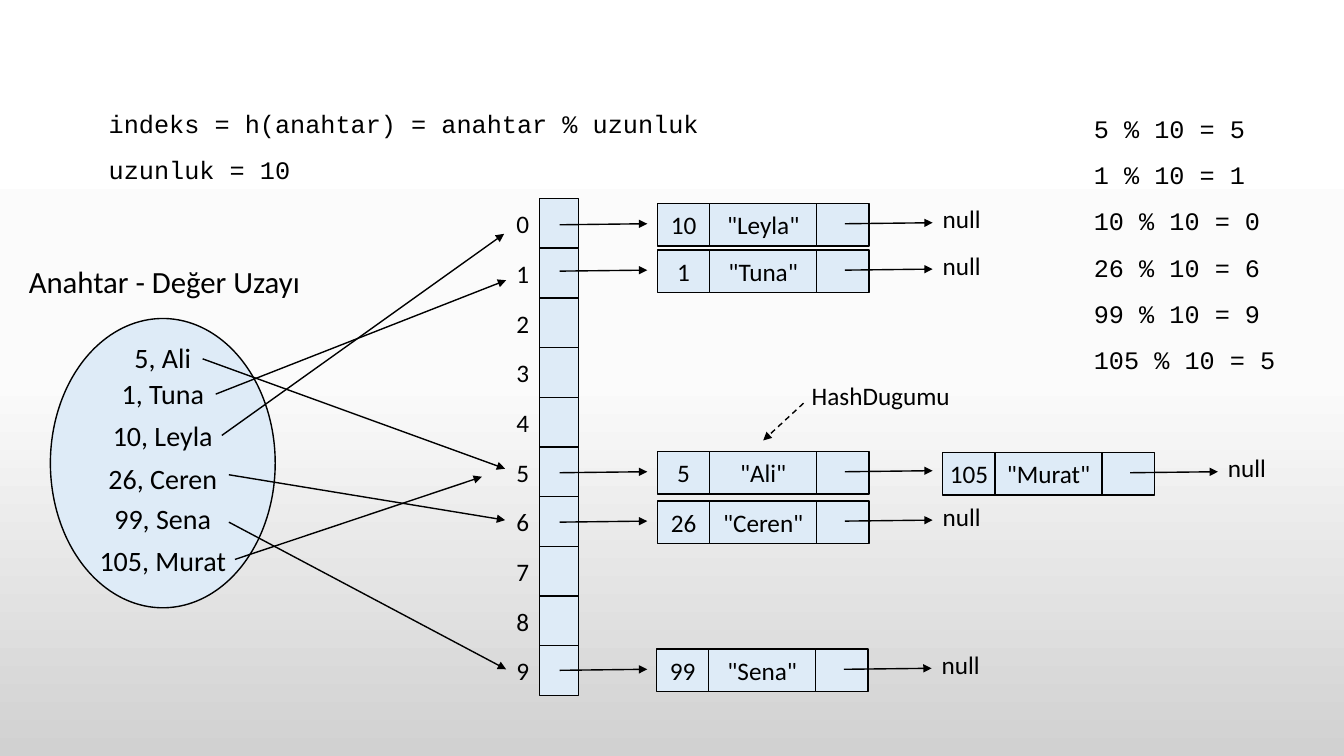
import copy
from dataclasses import dataclass

import pptx
import pptx.dml.color
import pptx.enum.dml
import pptx.enum.shapes
import pptx.enum.text
import pptx.oxml
import pptx.oxml.ns
import pptx.util

Inches = pptx.util.Inches
Pt = pptx.util.Pt
RGBColor = pptx.dml.color.RGBColor
Preset = pptx.enum.shapes.MSO_SHAPE
Align = pptx.enum.text.PP_ALIGN
Anchor = pptx.enum.text.MSO_ANCHOR
qn = pptx.oxml.ns.qn


@dataclass(frozen=True)
class Theme:
    ink: RGBColor = RGBColor.from_string("000000")
    fill: RGBColor = RGBColor.from_string("DEEBF7")
    background: tuple = ((0, "FFFFFF"), (0.5, "FBFBFB"), (1, "D1D1D1"))
    body_font: str = "Calibri"
    code_font: str = "Courier New"
    body: int = 18
    key: int = 20
    heading: int = 22
    line: float = 1


THEME = Theme()

# Key label: text, width, top, arrow start, arrow end
KEYS = [
    ("5, Ali", 0.77, 3.33, (2.01, 3.56), (5.01, 4.65)),
    ("1, Tuna", 1.03, 3.69, (2.14, 3.91), (5.02, 2.78)),
    ("10, Leyla", 1.2, 4.1, (2.2, 4.32), (5, 2.32)),
    ("26, Ceren", 1.29, 4.53, (2.27, 4.71), (5.01, 5.16)),
    ("99, Sena", 1.17, 4.93, (2.27, 5.18), (5.02, 6.64)),
    ("105, Murat", 1.47, 5.34, (2.33, 5.55), (4.78, 4.73)),
]
# First node of each chain: left, top, key, name, ends in null
CHAINS = [
    (6.52, 2.02, "10", '"Leyla"', True),
    (6.52, 2.48, "1", '"Tuna"', True),
    (6.52, 4.48, "5", '"Ali"', False),
    (6.52, 4.97, "26", '"Ceren"', True),
    (6.51, 6.44, "99", '"Sena"', True),
]
FORMULA = ["indeks = h(anahtar) = anahtar % uzunluk", "uzunluk = 10"]
REMAINDERS = ["5 % 10 = 5", "1 % 10 = 1", "10 % 10 = 0",
              "26 % 10 = 6", "99 % 10 = 9", "105 % 10 = 5"]


def style_font(paragraph, size, name):
    paragraph.font.size = Pt(size)
    paragraph.font.name = name
    paragraph.font.color.rgb = THEME.ink


def add_label(shapes, box, text, size=THEME.body, align=Align.CENTER):
    frame = shapes.add_textbox(*map(Inches, box)).text_frame
    frame.word_wrap = False
    frame.auto_size = pptx.enum.text.MSO_AUTO_SIZE.SHAPE_TO_FIT_TEXT
    paragraph = frame.paragraphs[0]
    paragraph.text = text
    paragraph.alignment = align
    style_font(paragraph, size, THEME.body_font)


def add_block(shapes, preset, box, text="", inset=None):
    shape = shapes.add_shape(preset, *map(Inches, box))
    shape.shadow.inherit = False
    shape.fill.solid()
    shape.fill.fore_color.rgb = THEME.fill
    shape.line.color.rgb = THEME.ink
    shape.line.width = Pt(THEME.line)
    if text:
        frame = shape.text_frame
        frame.vertical_anchor = Anchor.MIDDLE
        if inset is not None:
            frame.margin_left = frame.margin_right = Inches(inset)
            frame.margin_top = frame.margin_bottom = Inches(inset)
        paragraph = frame.paragraphs[0]
        paragraph.text = text
        paragraph.alignment = Align.CENTER
        style_font(paragraph, THEME.body, THEME.body_font)


def add_arrow(shapes, start, end, dashed=False):
    arrow = shapes.add_connector(pptx.enum.shapes.MSO_CONNECTOR.STRAIGHT,
                                 *map(Inches, (*start, *end)))
    arrow.line.color.rgb = THEME.ink
    arrow.line.width = Pt(THEME.line)
    if dashed:
        arrow.line.dash_style = pptx.enum.dml.MSO_LINE.DASH
    head = pptx.oxml.parse_xml(
        f'<a:tailEnd {pptx.oxml.ns.nsdecls("a")} type="triangle"/>')
    arrow.line._get_or_add_ln().append(head)
    arrow._element.spPr.append(
        pptx.oxml.parse_xml(f'<a:effectLst {pptx.oxml.ns.nsdecls("a")}/>'))


def paint_background(slide):
    fill = slide.background.fill
    fill.gradient()
    fill.gradient_angle = 270
    stop_list = slide._element.find(".//" + qn("a:gsLst"))
    stop_list.insert(1, copy.deepcopy(stop_list[0]))
    for stop, (position, color) in zip(fill.gradient_stops, THEME.background):
        stop.position = position
        stop.color.rgb = RGBColor.from_string(color)


def add_bucket_column(slide, box):
    left, top, width, height = box
    shapes = slide.shapes.add_group_shape().shapes
    step = height / 10
    for index in range(10):
        y = top + index * step
        add_block(shapes, Preset.RECTANGLE, (left, y, width, step))
        add_label(shapes, (left - 0.33, y + 0.05, 0.33, 0.34), str(index))


def add_key_space(slide, box):
    left, top, width, height = box
    center = left + width / 2
    shapes = slide.shapes.add_group_shape().shapes
    add_block(shapes, Preset.OVAL, box)
    add_label(shapes, (left - 0.33, top - 0.6, 2.92, 0.47),
              "Anahtar - Değer Uzayı", THEME.heading)
    for text, label_width, label_top, start, end in KEYS:
        add_label(shapes, (center - label_width / 2, label_top, label_width, 0.44),
                  text, THEME.key)
        add_arrow(slide.shapes, start, end)


def add_code_lines(slide, box, lines):
    frame = slide.shapes.add_textbox(*map(Inches, box)).text_frame
    frame.word_wrap = False
    frame.auto_size = pptx.enum.text.MSO_AUTO_SIZE.SHAPE_TO_FIT_TEXT
    for index, line in enumerate(lines):
        paragraph = frame.paragraphs[0] if index == 0 else frame.add_paragraph()
        paragraph.text = line
        paragraph.line_spacing = 1.07
        paragraph.space_after = Pt(10)
        style_font(paragraph, THEME.body, THEME.code_font)


def add_node(slide, left, top, key, name, ends_in_null):
    shapes = slide.shapes.add_group_shape().shapes
    small, wide, height = 0.52, 1.06, 0.42
    add_block(shapes, Preset.RECTANGLE, (left + small, top, wide, height), name)
    add_block(shapes, Preset.RECTANGLE, (left + small + wide, top, small, height))
    add_block(shapes, Preset.RECTANGLE, (left, top, small, height), key, inset=0)
    add_arrow(shapes, (left + 1.86, top + 0.2), (left + 2.73, top + 0.19))
    if ends_in_null:
        add_label(shapes, (left + 2.73, top - 0.05, 0.58, 0.4), "null",
                  align=Align.LEFT)


def add_callout(slide, box):
    left, top, width, height = box
    shapes = slide.shapes.add_group_shape().shapes
    add_arrow(shapes, (left + 0.03, top + 0.28), (left - 0.37, top + 0.65), dashed=True)
    add_label(shapes, box, "HashDugumu")


def main():
    presentation = pptx.Presentation()
    presentation.slide_width = Inches(13.33)
    presentation.slide_height = Inches(7.5)
    slide = presentation.slides.add_slide(presentation.slide_layouts[6])
    paint_background(slide)

    # Hash table and key space
    add_bucket_column(slide, (5.35, 1.97, 0.39, 4.93))
    add_key_space(slide, (0.5, 3.16, 2.23, 2.87))

    # Hash function and its results
    add_code_lines(slide, (0.98, 1, 6.15, 0.85), FORMULA)
    add_code_lines(slide, (10.75, 1.05, 2.03, 2.62), REMAINDERS)

    # Chains of nodes
    for left, top, key, name, ends_in_null in CHAINS:
        add_arrow(slide.shapes, (5.55, top + 0.21), (6.42, top + 0.2))
        add_node(slide, left, top, key, name, ends_in_null)
    add_node(slide, 9.35, 4.49, "105", '"Murat"', True)
    add_callout(slide, (7.94, 3.72, 1.59, 0.4))

    presentation.save("out.pptx")


if __name__ == "__main__":
    main()
